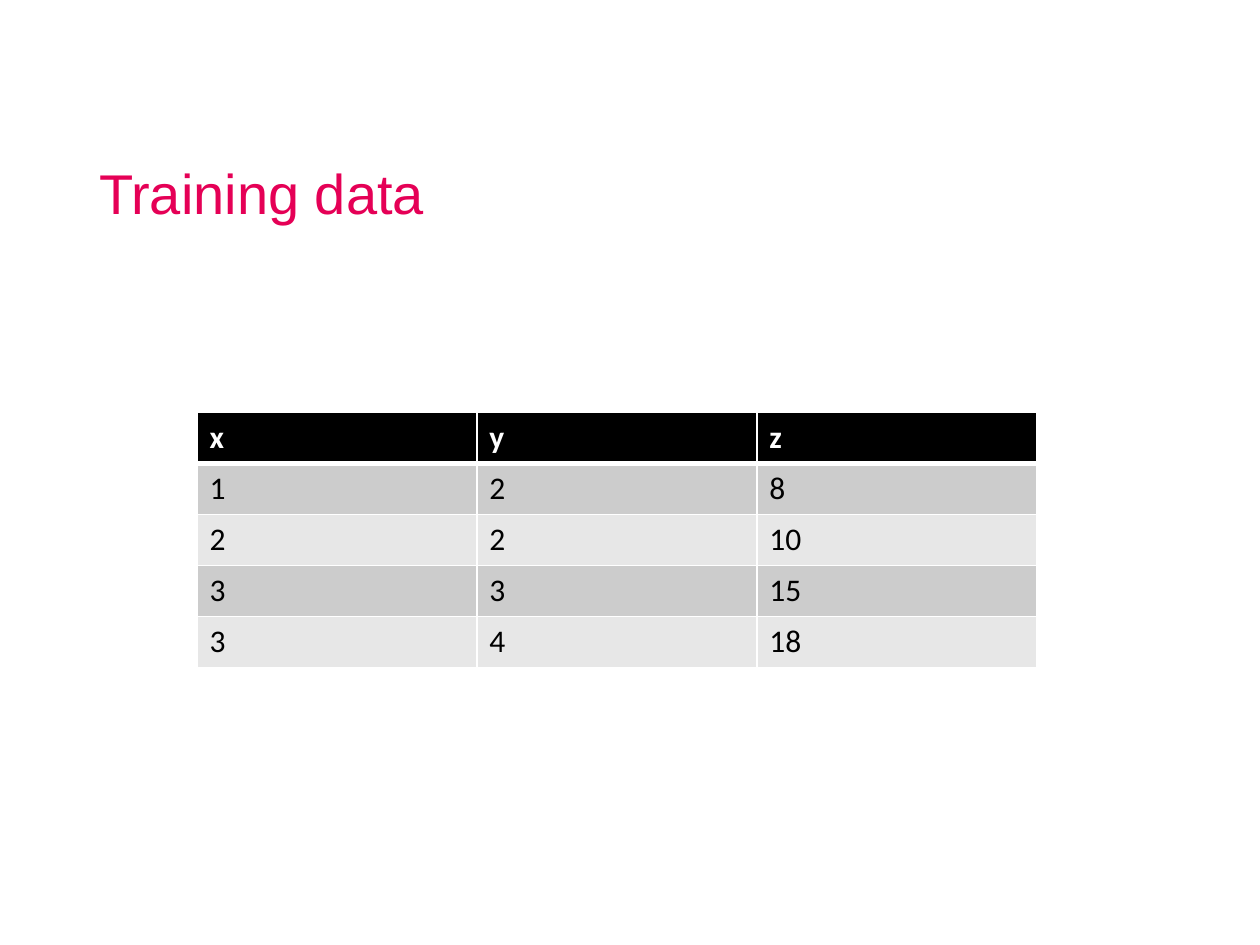
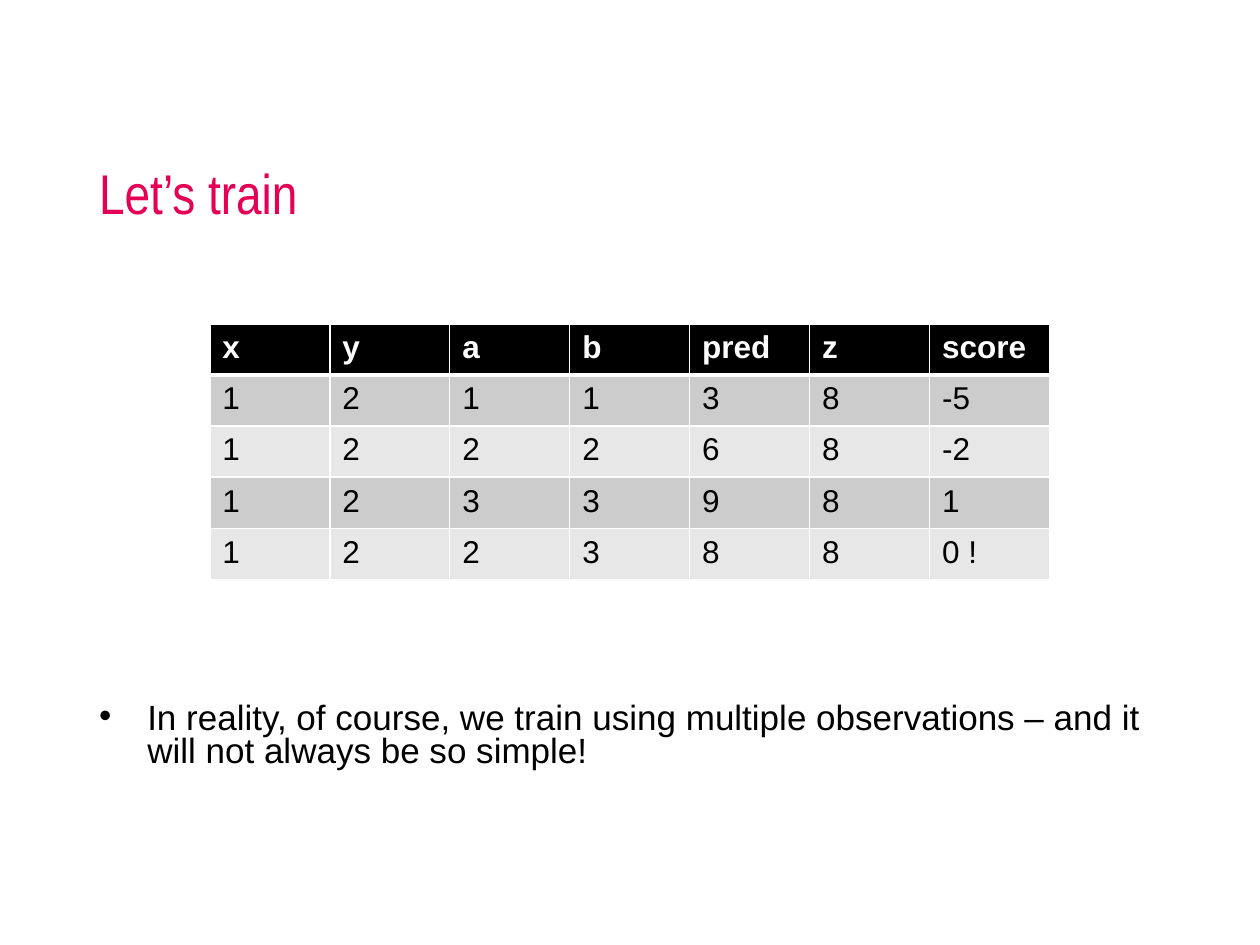
from dataclasses import dataclass

from lxml.etree import SubElement
from pptx import Presentation
from pptx.dml.color import RGBColor as RGB
from pptx.enum.text import MSO_ANCHOR as Anchor
from pptx.oxml import parse_xml
from pptx.oxml.ns import nsdecls, qn
from pptx.util import Cm, Pt


@dataclass(frozen=True)
class Theme:
    """Colours, fonts and type sizes shared by the slides."""
    accent: str = "E50056"
    ink: str = "000000"
    paper: str = "FFFFFF"
    bands: tuple = ("CCCCCC", "E7E7E7")
    font: str = "Arial"
    narrow: str = "Arial Narrow"
    table_font: str = "Calibri"
    title: int = 32
    body: int = 20
    cell: int = 18
    rule: int = 1
    header_rule: int = 3


T = Theme()
TITLE_BOX = (1.75, 1.02, 21.9, 3.68)


def write(tf, text, size=T.body, color=T.ink, font=T.font, bold=False,
          spacing=None, bullet=None, indent=0.97):
    """Write one formatted paragraph into a text frame."""
    p = tf.paragraphs[0]
    if bullet:
        pPr = p._p.get_or_add_pPr()
        pPr.set("marL", str(Cm(indent)))
        pPr.set("indent", str(-Cm(indent)))
        SubElement(pPr, qn("a:buFont"), typeface=T.font)
        SubElement(pPr, qn("a:buChar"), char=bullet)
    if spacing:
        p.line_spacing = spacing
    r = p.add_run()
    r.text = text
    r.font.size, r.font.name, r.font.bold = Pt(size), font, bold
    r.font.color.rgb = RGB.from_string(color)


def add_text(s, box, text, anchor=Anchor.TOP, **fmt):
    """Add a wrapping text box, given in centimetres."""
    tf = s.shapes.add_textbox(*map(Cm, box)).text_frame
    tf.word_wrap = True
    tf.vertical_anchor = anchor
    write(tf, text, **fmt)


def add_title(s, text, font=T.font):
    """Add the slide title at the foot of the title box."""
    add_text(s, TITLE_BOX, text, anchor=Anchor.BOTTOM, size=T.title,
             color=T.accent, font=font, spacing=0.9)


def set_borders(cell, top, bottom):
    """Draw the four borders of a cell, with its top and bottom widths."""
    tcPr = cell._tc.get_or_add_tcPr()
    widths = {"L": T.rule, "R": T.rule, "T": top, "B": bottom}
    for i, (side, width) in enumerate(widths.items()):
        tcPr.insert(i, parse_xml(
            f'<a:ln{side} {nsdecls("a")} w="{Pt(width)}"><a:solidFill>'
            f'<a:srgbClr val="{T.paper}"/></a:solidFill></a:ln{side}>'))


def add_data_table(s, box, rows, font):
    """Fill a box with a table: a dark header row above banded rows."""
    x, y, w, h = map(Cm, box)
    n_rows, n_cols = len(rows), len(rows[0])
    table = s.shapes.add_table(n_rows, n_cols, x, y, w, h).table
    table.horz_banding = False
    for col in table.columns:
        col.width = w // n_cols
    for i, values in enumerate(rows):
        table.rows[i].height = h // n_rows
        header = i == 0
        for j, value in enumerate(values):
            cell = table.cell(i, j)
            cell.fill.solid()
            cell.fill.fore_color.rgb = RGB.from_string(
                T.ink if header else T.bands[(i - 1) % 2])
            set_borders(cell, top=T.header_rule if i == 1 else T.rule,
                        bottom=T.header_rule if header else T.rule)
            write(cell.text_frame, value, size=T.cell, font=font, bold=header,
                  color=T.paper if header else T.ink)


def training_data_slide(s):
    """Show the observations to learn from."""
    add_title(s, "Training data")
    rows = ["x y z", "1 2 8", "2 2 10", "3 3 15", "3 4 18"]
    add_data_table(s, (3.97, 8.31, 16.93, 5.15),
                   [row.split() for row in rows], T.table_font)


def lets_train_slide(s):
    """Show the attempts at fitting one observation, with a remark."""
    add_text(s, (1.75, 14.05, 21.9, 3.15),
             "In reality, of course, we train using multiple observations – "
             "and it will not always be so simple!", spacing=0.8, bullet="•")
    add_title(s, "Let’s train", font=T.narrow)
    rows = ["x,y,a,b,pred,z,score", "1,2,1,1,3,8,-5", "1,2,2,2,6,8,-2",
            "1,2,3,3,9,8,1", "1,2,2,3,8,8,0 !"]
    add_data_table(s, (4.23, 6.53, 16.93, 5.15),
                   [row.split(",") for row in rows], T.font)


def main():
    """Build and save the presentation."""
    prs = Presentation()
    prs.slide_width, prs.slide_height = Cm(25.4), Cm(19.05)
    for build in (training_data_slide, lets_train_slide):
        build(prs.slides.add_slide(prs.slide_layouts[6]))
    prs.save("out.pptx")


if __name__ == "__main__":
    main()
